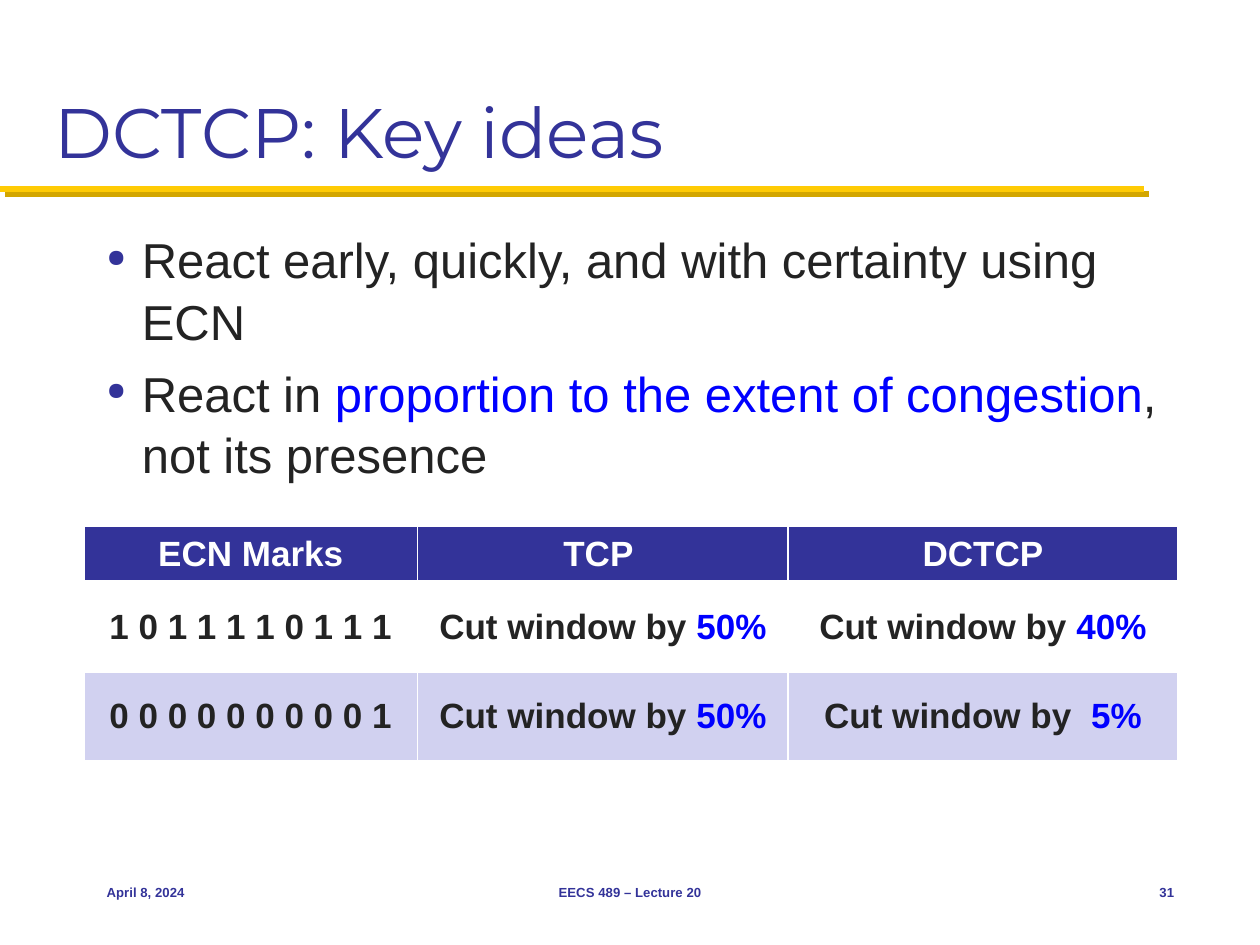
import pptx
import pptx.util
import pptx.dml.color
import pptx.enum.text
import pptx.enum.shapes
import pptx.oxml
import pptx.oxml.ns
from lxml import etree

Cm, Pt = pptx.util.Cm, pptx.util.Pt
RGBColor = pptx.dml.color.RGBColor
PP_ALIGN = pptx.enum.text.PP_ALIGN
MSO_ANCHOR = pptx.enum.text.MSO_ANCHOR
qn = pptx.oxml.ns.qn

NAVY = RGBColor(0x33, 0x33, 0x99)
INK = RGBColor(0x23, 0x23, 0x23)
BLUE = RGBColor(0x00, 0x00, 0xFF)
WHITE = RGBColor(0xFF, 0xFF, 0xFF)
LAVENDER = RGBColor(0xD1, 0xD1, 0xF0)
GOLD = RGBColor(0xFF, 0xCB, 0x05)
DARK_GOLD = RGBColor(0xD3, 0xA6, 0x00)

TITLE = "DCTCP: Key ideas"
BULLETS = [
    [("React early, quickly, and with certainty using ECN", INK)],
    [("React in ", INK), ("proportion to the extent of congestion", BLUE),
     (", not its presence", INK)],
]
ROWS = [
    [[("ECN Marks", WHITE)], [("TCP ", WHITE)], [("DCTCP", WHITE)]],
    [[("1 0 1 1 1 1 0 1 1 1", INK)],
     [("Cut window by ", INK), ("50%", BLUE)],
     [("Cut window by ", INK), ("40%", BLUE)]],
    [[("0 0 0 0 0 0 0 0 0 1", INK)],
     [("Cut window by ", INK), ("50%", BLUE)],
     [("Cut window by  ", INK), ("5%", BLUE)]],
]
ROW_FILLS = [NAVY, WHITE, LAVENDER]
ROW_HEIGHTS = [1.03, 1.81, 1.77]
COL_WIDTHS = [6.73, 7.47, 7.85]
FOOTERS = [
    ("April 8, 2024", 1.9, 5.3, PP_ALIGN.LEFT),
    ("EECS 489 – Lecture 20", 8.68, 8.04, PP_ALIGN.CENTER),
    ("31", 22.22, 1.7, PP_ALIGN.RIGHT),
]


def add_runs(p, runs, size, font="Arial", bold=False):
    p.font.size, p.font.name, p.font.bold = Pt(size), font, bold
    for text, color in runs:
        r = p.add_run()
        r.text = text
        r.font.color.rgb = color


def add_text(s, box, paragraphs, size, font="Arial", bold=False,
             anchor=MSO_ANCHOR.TOP, align=PP_ALIGN.LEFT, wrap=True):
    tf = s.shapes.add_textbox(*map(Cm, box)).text_frame
    tf.word_wrap = wrap
    tf.vertical_anchor = anchor
    for i, runs in enumerate(paragraphs):
        p = tf.add_paragraph() if i else tf.paragraphs[0]
        p.alignment = align
        add_runs(p, runs, size, font, bold)
    return tf


def add_bullet(p):
    p.space_before = Pt(5.6)
    p.line_spacing = 1.05
    pPr = p._p.get_or_add_pPr()
    pPr.set("marL", str(Cm(0.71)))
    pPr.set("indent", str(-Cm(0.71)))
    bullet = [
        etree.Element(qn("a:buClr")),
        etree.Element(qn("a:buSzPct"), val="50000"),
        etree.Element(qn("a:buChar"), char="●"),
    ]
    etree.SubElement(bullet[0], qn("a:srgbClr"), val=str(NAVY))
    position = pPr.index(pPr.find(qn("a:defRPr")))
    pPr[position:position] = bullet


def add_rule(s):
    line = s.shapes.add_connector(
        pptx.enum.shapes.MSO_CONNECTOR.STRAIGHT, 0, Cm(3.81), Cm(23.06), Cm(3.81))
    line.line.color.rgb = GOLD
    line.line.width = Pt(3.5)
    effects = etree.SubElement(line._element.spPr, qn("a:effectLst"))
    shadow = etree.SubElement(effects, qn("a:outerShdw"), blurRad="0",
                              dist=str(Pt(4.2)), dir="2700000",
                              algn="ctr", rotWithShape="0")
    etree.SubElement(shadow, qn("a:srgbClr"), val=str(DARK_GOLD))


def add_borders(cell, widths):
    tcPr = cell._tc.get_or_add_tcPr()
    for side, width in zip("LRTB", widths):
        ln = etree.SubElement(tcPr, qn("a:ln" + side), w=str(Pt(width)))
        fill = etree.SubElement(ln, qn("a:solidFill"))
        etree.SubElement(fill, qn("a:srgbClr"), val=str(WHITE))


def add_marks_table(s):
    table = s.shapes.add_table(
        len(ROWS), len(COL_WIDTHS), Cm(1.69), Cm(10.6),
        Cm(sum(COL_WIDTHS)), Cm(sum(ROW_HEIGHTS))).table
    table.horz_banding = False
    for col, width in zip(table.columns, COL_WIDTHS):
        col.width = Cm(width)
    for i, cells in enumerate(ROWS):
        table.rows[i].height = Cm(ROW_HEIGHTS[i])
        for j, runs in enumerate(cells):
            cell = table.cell(i, j)
            cell.vertical_anchor = MSO_ANCHOR.MIDDLE
            cell.margin_left = cell.margin_right = Cm(0.3)
            cell.margin_top = cell.margin_bottom = Cm(0.15)
            add_borders(cell, (1, 1, 3 if i == 1 else 1, 3 if i == 0 else 1))
            cell.fill.solid()
            cell.fill.fore_color.rgb = ROW_FILLS[i]
            p = cell.text_frame.paragraphs[0]
            p.alignment = PP_ALIGN.CENTER
            add_runs(p, runs, 20, bold=True)


def main():
    prs = pptx.Presentation()
    prs.slide_width, prs.slide_height = Cm(25.4), Cm(19.05)
    s = prs.slides.add_slide(prs.slide_layouts[6])
    add_rule(s)
    add_text(s, (0.85, 0.42, 23.7, 3.18), [[(TITLE, NAVY)]], 40,
             font="Montserrat", anchor=MSO_ANCHOR.BOTTOM)
    body = add_text(s, (1.9, 4.45, 22.02, 5.28), BULLETS, 28)
    for p in body.paragraphs:
        add_bullet(p)
    add_marks_table(s)
    for text, left, width, align in FOOTERS:
        add_text(s, (left, 17.36, width, 1.27), [[(text, NAVY)]], 7.5,
                 bold=True, anchor=MSO_ANCHOR.MIDDLE, align=align)
    prs.save("out.pptx")


if __name__ == "__main__":
    main()
